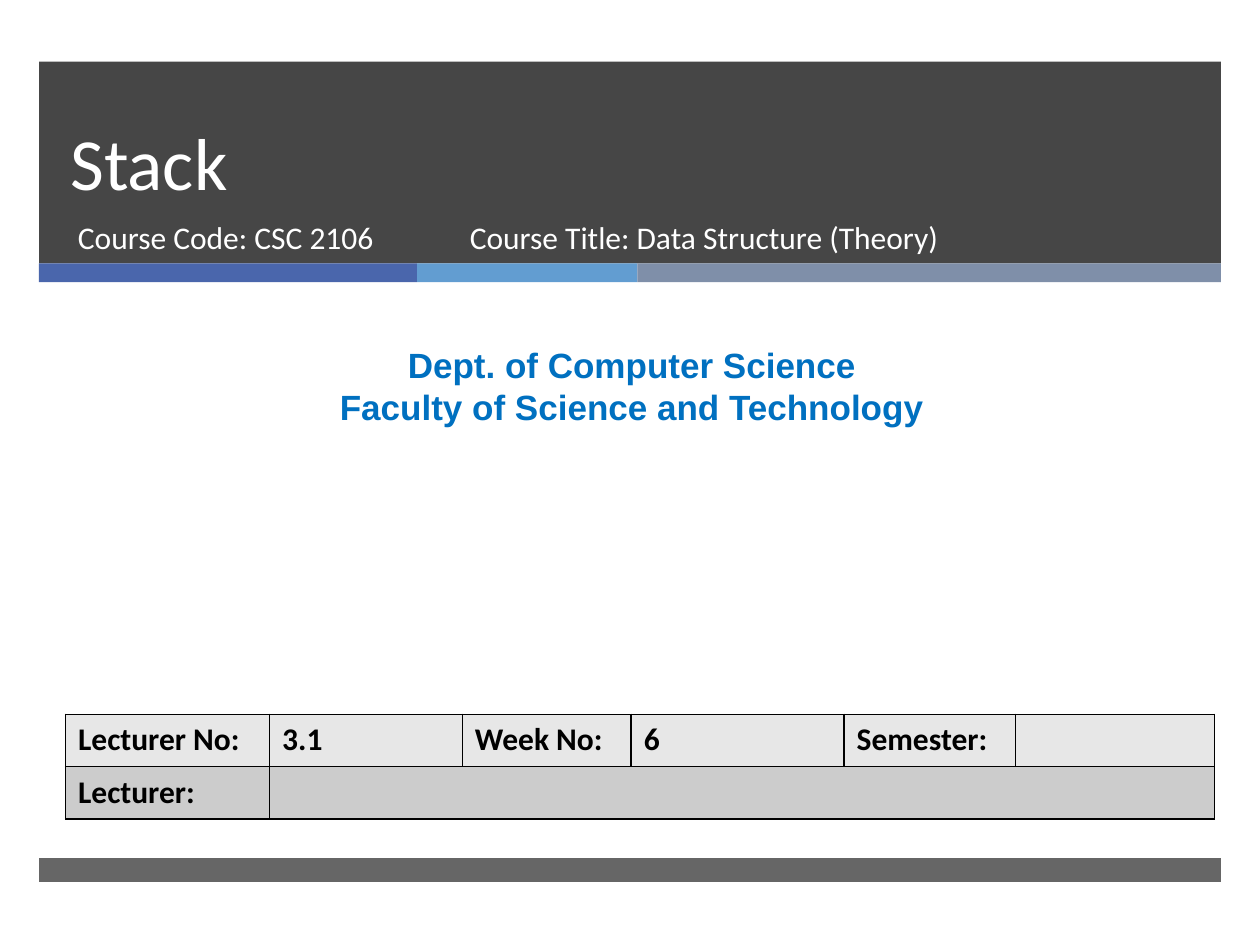
from itertools import accumulate

from lxml import etree
from pptx import Presentation
from pptx import util as u
from pptx.dml.color import RGBColor
from pptx.enum import shapes, text
from pptx.oxml.ns import qn

WHITE = RGBColor(0xFF, 0xFF, 0xFF)
BLACK = RGBColor(0x00, 0x00, 0x00)
CHARCOAL = RGBColor(0x26, 0x26, 0x26)
INDIGO = RGBColor(0x4A, 0x66, 0xAC)
SKY = RGBColor(0x62, 0x9D, 0xD1)
SLATE = RGBColor(0x7F, 0x8F, 0xA9)
BLUE = RGBColor(0x00, 0x70, 0xC0)
PALE_GREY = RGBColor(0xE7, 0xE7, 0xE7)
MID_GREY = RGBColor(0xCC, 0xCC, 0xCC)

COLUMNS, ROWS = 100, 75


def write(frame, content, size=18, font="Calibri", color=WHITE, bold=False,
          align=text.PP_ALIGN.LEFT, leading=None):
    for index, line in enumerate(content.split("\n")):
        para = frame.paragraphs[0] if index == 0 else frame.add_paragraph()
        para.alignment = align
        if leading:
            para.line_spacing = u.Pt(leading)
        span = para.add_run()
        span.text = line
        span.font.size = u.Pt(size)
        span.font.name = font
        span.font.bold = bold
        span.font.color.rgb = color


class CoverSlide:
    """Draw styled elements on one slide, placed by grid columns and rows."""

    def __init__(self, deck):
        self.cell_width = deck.slide_width / COLUMNS
        self.cell_height = deck.slide_height / ROWS
        self.page = deck.slides.add_slide(deck.slide_layouts[6])

    def place(self, column, row, width, height):
        return (round(column * self.cell_width), round(row * self.cell_height),
                round(width * self.cell_width), round(height * self.cell_height))

    def band(self, area, color, opacity=100):
        box = self.page.shapes.add_shape(shapes.MSO_SHAPE.RECTANGLE, *self.place(*area))
        box.shadow.inherit = False
        box.line.fill.background()
        box.fill.solid()
        box.fill.fore_color.rgb = color
        if opacity < 100:
            tint = box.fill._xPr.find(qn("a:solidFill"))[0]
            etree.SubElement(tint, qn("a:alpha"), val=str(opacity * 1000))

    def label(self, area, content, anchor=text.MSO_ANCHOR.TOP, **style):
        box = self.page.shapes.add_textbox(*self.place(*area))
        frame = box.text_frame
        frame.word_wrap = True
        frame.vertical_anchor = anchor
        write(frame, content, **style)

    def outline(self, cell):
        properties = cell._tc.get_or_add_tcPr()
        for side in ("a:lnL", "a:lnR", "a:lnT", "a:lnB"):
            line = etree.SubElement(properties, qn(side), w=str(u.Pt(1)))
            fill = etree.SubElement(line, qn("a:solidFill"))
            etree.SubElement(fill, qn("a:srgbClr"), val=str(BLACK))

    def table(self, area, widths, records, fills):
        frame = self.page.shapes.add_table(len(records), len(widths), *self.place(*area))
        grid = frame.table
        for column, width in zip(grid.columns, widths):
            column.width = round(width * self.cell_width)
        for row, record, fill in zip(grid.rows, records, fills):
            for index, cell in enumerate(row.cells):
                self.outline(cell)
                cell.fill.solid()
                cell.fill.fore_color.rgb = fill
                content = record[index] if index < len(record) else ""
                if content:
                    write(cell.text_frame, content, color=BLACK, bold=True)
        return grid


def main():
    deck = Presentation()
    deck.slide_width, deck.slide_height = u.Inches(10), u.Inches(7.5)
    cover = CoverSlide(deck)

    left, full = 3.1, 93.8
    cover.band((left, 4.9, full, 16), CHARCOAL, opacity=85)
    stripes = (30, 17.5, 46.3)
    starts = accumulate(stripes, initial=left)
    for start, width, color in zip(starts, stripes, (INDIGO, SKY, SLATE)):
        cover.band((start, 20.9, width, 1.5), color)
    cover.band((left, 68.1, full, 1.9), CHARCOAL, opacity=70)

    cover.label((4.6, 4.9, 85.4, 11.9), "Stack", size=42, leading=46,
                anchor=text.MSO_ANCHOR.BOTTOM)
    cover.label((5.2, 16.8, 30.5, 5.3), "Course Code: CSC 2106")
    cover.label((36.3, 16.8, 45.5, 5.3), "Course Title: Data Structure (Theory)")
    cover.label((0.8, 26.8, 98.7, 7.7),
                "Dept. of Computer Science\nFaculty of Science and Technology",
                size=20, font="Arial", color=BLUE, bold=True,
                align=text.PP_ALIGN.CENTER, leading=24)

    grid = cover.table(
        (5.2, 56.7, 91.2, 8.3), (16.2, 15.3, 13.4, 16.9, 13.6, 15.8),
        (("Lecturer No:", "3.1", "Week No:", "6", "Semester:"), ("Lecturer:",)),
        (PALE_GREY, MID_GREY))
    grid.cell(1, 1).merge(grid.cell(1, 5))

    deck.save("out.pptx")


if __name__ == "__main__":
    main()
